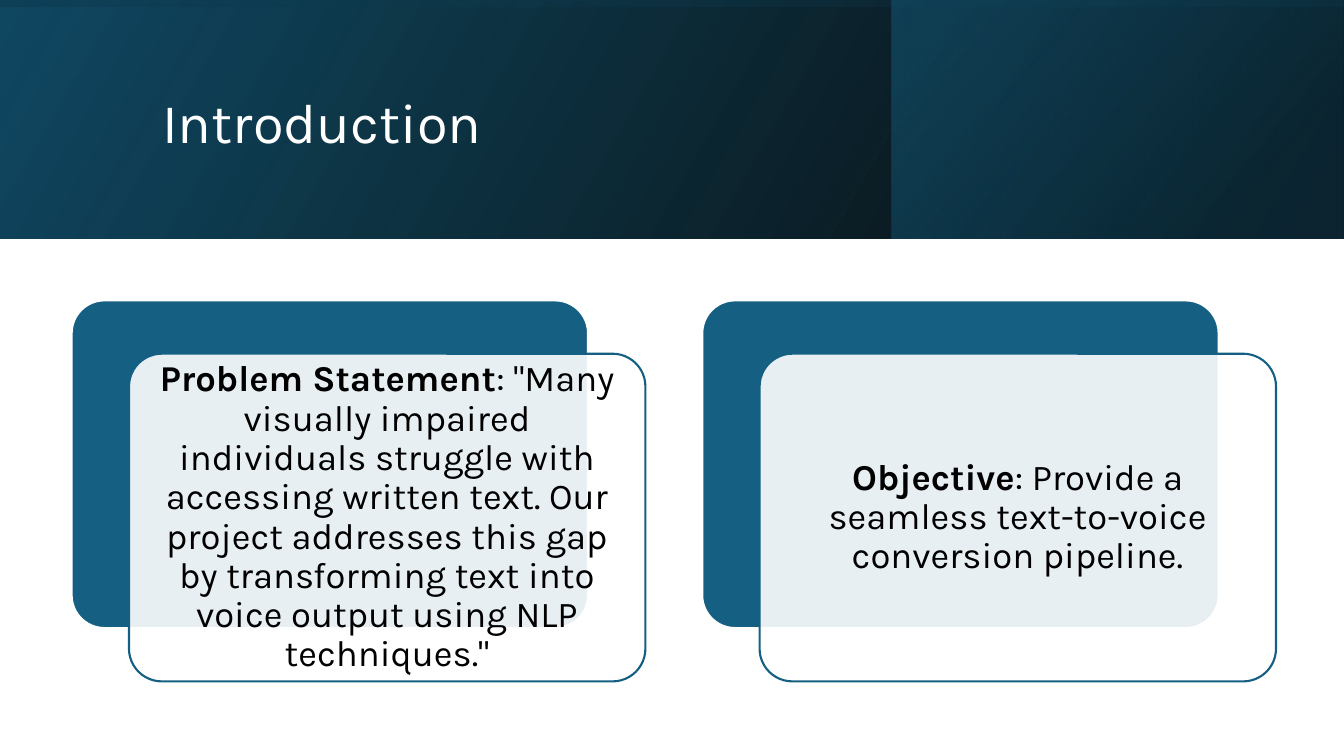
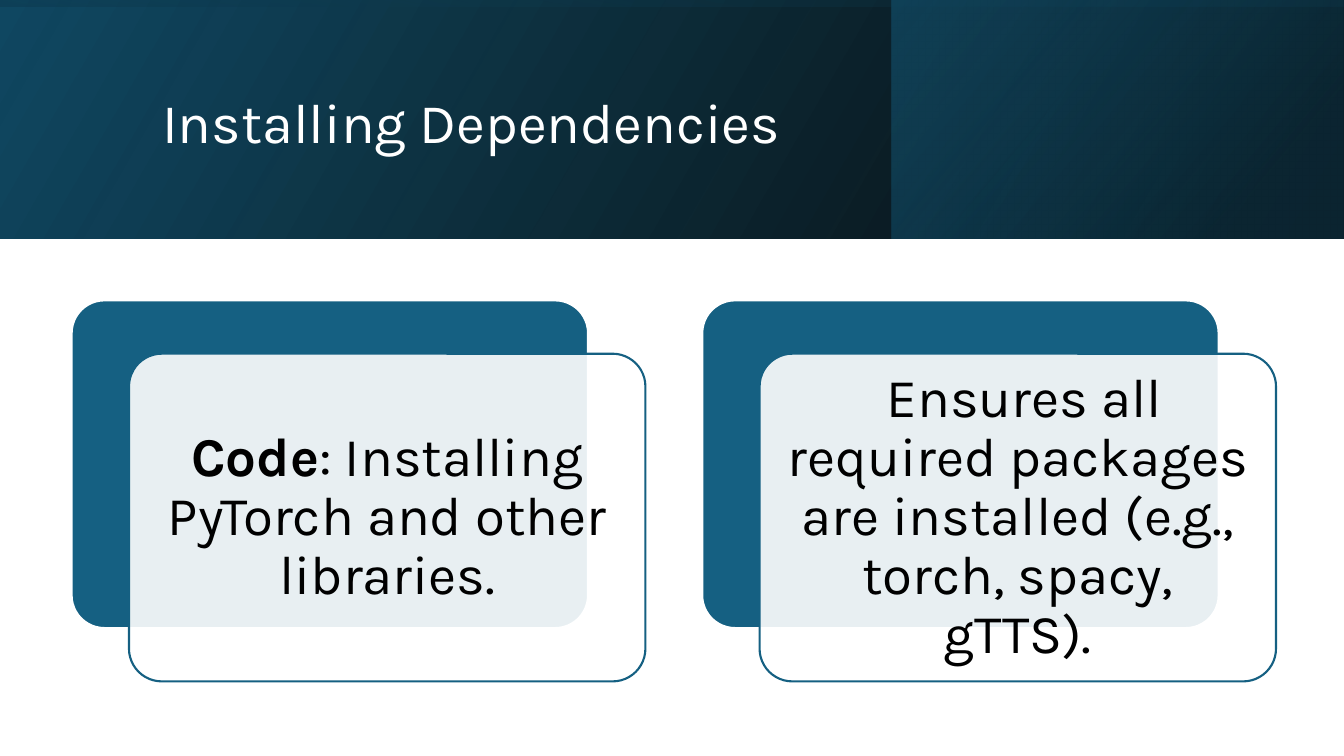
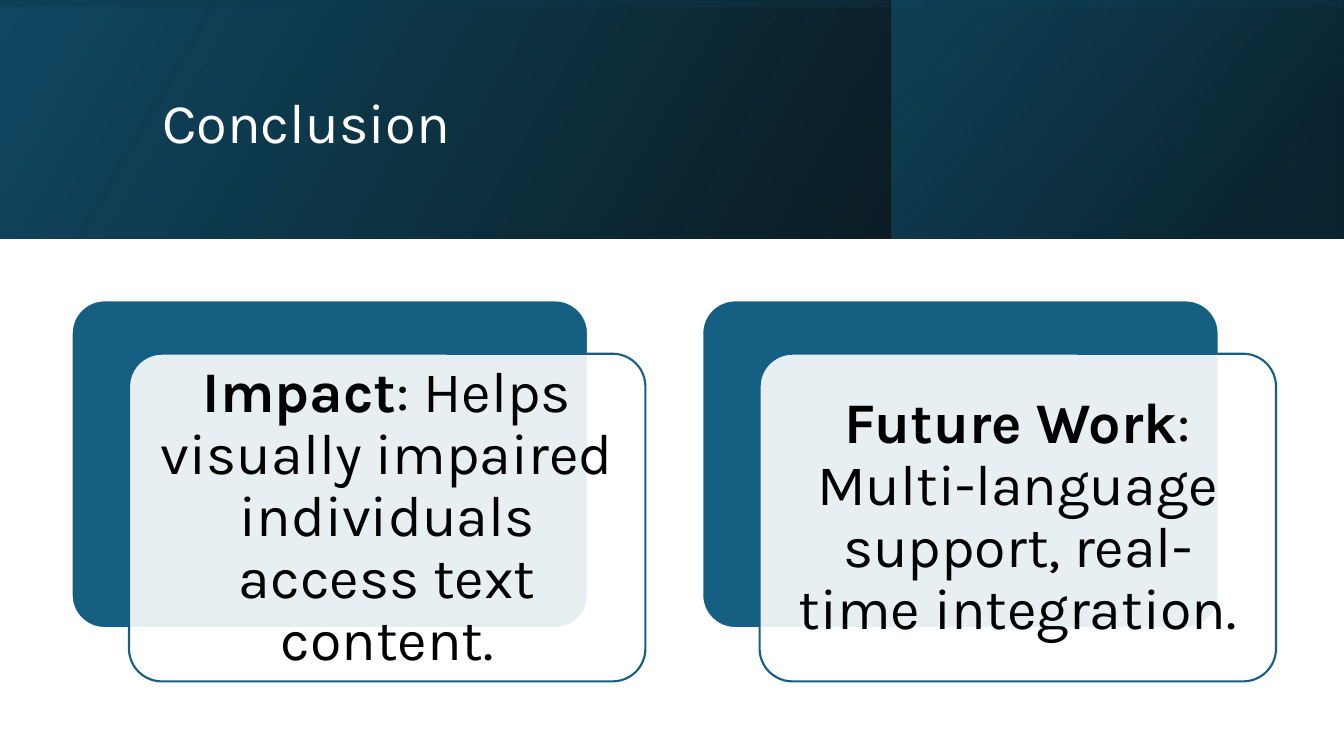
from collections import namedtuple

from pptx import Presentation
from pptx.dml.color import RGBColor
from pptx.enum.shapes import MSO_SHAPE
from pptx.enum.text import MSO_ANCHOR, MSO_AUTO_SIZE, PP_ALIGN
from pptx.oxml.ns import qn
from pptx.oxml.xmlchemy import OxmlElement
from pptx.util import Inches, Pt

RECTANGLE = MSO_SHAPE.RECTANGLE
ROUNDED = MSO_SHAPE.ROUNDED_RECTANGLE
MIDDLE = MSO_ANCHOR.MIDDLE
NO_FIT = MSO_AUTO_SIZE.NONE
LEFT, CENTER = PP_ALIGN.LEFT, PP_ALIGN.CENTER

BLACK = RGBColor(0x00, 0x00, 0x00)
WHITE = RGBColor(0xFF, 0xFF, 0xFF)
NAVY = RGBColor(0x10, 0x48, 0x62)
DEEP = RGBColor(0x0B, 0x30, 0x41)
TEAL = RGBColor(0x15, 0x60, 0x82)
FONT = "Karla"

Box = namedtuple("Box", "left top width height")
SLIDE = Box(0, 0, Inches(13.33), Inches(7.5))


def part(box, left, top, width, height):
    """Return a box given in percent of another box."""
    return Box(
        int(box.left + box.width * left / 100),
        int(box.top + box.height * top / 100),
        int(box.width * width / 100),
        int(box.height * height / 100),
    )


BAND = part(SLIDE, 0, 0, 100, 31.6)
BAND_END = part(SLIDE, 66.33, 0, 33.6, 31.6)
TITLE = part(SLIDE, 11.33, 5.07, 79.75, 22.93)
CARD_PITCH = 46.92
CARDS = [part(SLIDE, 5.33 + column * CARD_PITCH, 39.73, 42.69, 50.4) for column in range(2)]
TEXT_MARGIN = Inches(0.1)

SLIDES = [
    ("Introduction", 26, 0.11, [
        ("Problem Statement", ': "Many visually impaired individuals struggle with accessing '
         'written text. Our project addresses this gap by transforming text into voice '
         'output using NLP techniques."'),
        ("Objective", ": Provide a seamless text-to-voice conversion pipeline."),
    ]),
    ("Installing Dependencies", 39, 0.16, [
        ("Code", ": Installing PyTorch and other libraries."),
        ("", " Ensures all required packages are installed (e.g., torch, spacy, gTTS)."),
    ]),
    ("Conclusion", 41, 0.17, [
        ("Impact", ": Helps visually impaired individuals access text content."),
        ("Future Work", ": Multi-language support, real-time integration."),
    ]),
]


def set_alpha(color_element, percent):
    alpha = OxmlElement("a:alpha")
    alpha.set("val", str(percent * 1000))
    color_element.append(alpha)


def add_panel(shapes, kind, box):
    shape = shapes.add_shape(kind, *box)
    shape.shadow.inherit = False
    return shape


def write_text(shape, runs, size, color=BLACK, align=LEFT):
    frame = shape.text_frame
    frame.word_wrap = True
    frame.auto_size = NO_FIT
    frame.vertical_anchor = MIDDLE
    paragraph = frame.paragraphs[0]
    paragraph.alignment = align
    paragraph.line_spacing = 0.9
    for text, bold in runs:
        if text:
            run = paragraph.add_run()
            run.text = text
            run.font.name = FONT
            run.font.size = Pt(size)
            run.font.bold = bold
            run.font.color.rgb = color


def add_gradient(slide, box, stops, angle, upright=False):
    if upright:
        box = Box(box.left + (box.width - box.height) // 2,
                  box.top + (box.height - box.width) // 2, box.height, box.width)
    shape = add_panel(slide.shapes, RECTANGLE, box)
    shape.line.fill.background()
    shape.rotation = 270 if upright else 0
    properties = shape._element.spPr
    properties.find(qn("a:xfrm")).set("flipH", "1")
    shape.fill.gradient()
    shape.fill.gradient_angle = angle
    for stop, (position, color, _) in zip(shape.fill.gradient_stops, stops):
        stop.position = position
        stop.color.rgb = color
    for element, (_, _, opacity) in zip(properties.iter(qn("a:srgbClr")), stops):
        set_alpha(element, opacity)


def add_header(slide, title):
    add_gradient(slide, BAND, [(0, BLACK, 96), (1, NAVY, 100)], 30)
    add_gradient(slide, BAND_END, [(0.19, DEEP, 68), (1, TEAL, 48)], 40)
    add_gradient(slide, BAND, [(0.23, NAVY, 16), (0.99, BLACK, 45)], 10, upright=True)
    shape = slide.shapes.title
    shape.left, shape.top, shape.width, shape.height = TITLE
    write_text(shape, [(title, False)], 40, color=WHITE)
    slide.shapes._spTree.append(shape._element)


def add_card(slide, box, label, body, size, inset):
    shapes = slide.shapes.add_group_shape().shapes
    front_box = part(box, 10, 14, 90, 86)
    for panel_box, fill, line in ((part(box, 0, 0, 90, 86), TEAL, WHITE),
                                  (front_box, WHITE, TEAL)):
        panel = add_panel(shapes, ROUNDED, panel_box)
        panel.adjustments[0] = 0.1
        panel.fill.solid()
        panel.fill.fore_color.rgb = fill
        panel.line.color.rgb = line
        panel.line.width = Pt(1.5)
    set_alpha(panel._element.spPr.find(qn("a:solidFill"))[0], 90)
    text_box = shapes.add_textbox(
        front_box.left + TEXT_MARGIN, front_box.top + TEXT_MARGIN,
        front_box.width - 2 * TEXT_MARGIN, front_box.height - 2 * TEXT_MARGIN)
    frame = text_box.text_frame
    frame.margin_left = frame.margin_right = Inches(inset)
    frame.margin_top = frame.margin_bottom = Inches(inset)
    write_text(text_box, [(label, True), (body, False)], size, align=CENTER)


def main():
    presentation = Presentation()
    presentation.slide_width, presentation.slide_height = SLIDE.width, SLIDE.height
    title_only = presentation.slide_layouts[5]
    for title, size, inset, cards in SLIDES:
        slide = presentation.slides.add_slide(title_only)
        add_header(slide, title)
        for box, (label, body) in zip(CARDS, cards):
            add_card(slide, box, label, body, size, inset)
    presentation.save("out.pptx")


if __name__ == "__main__":
    main()
